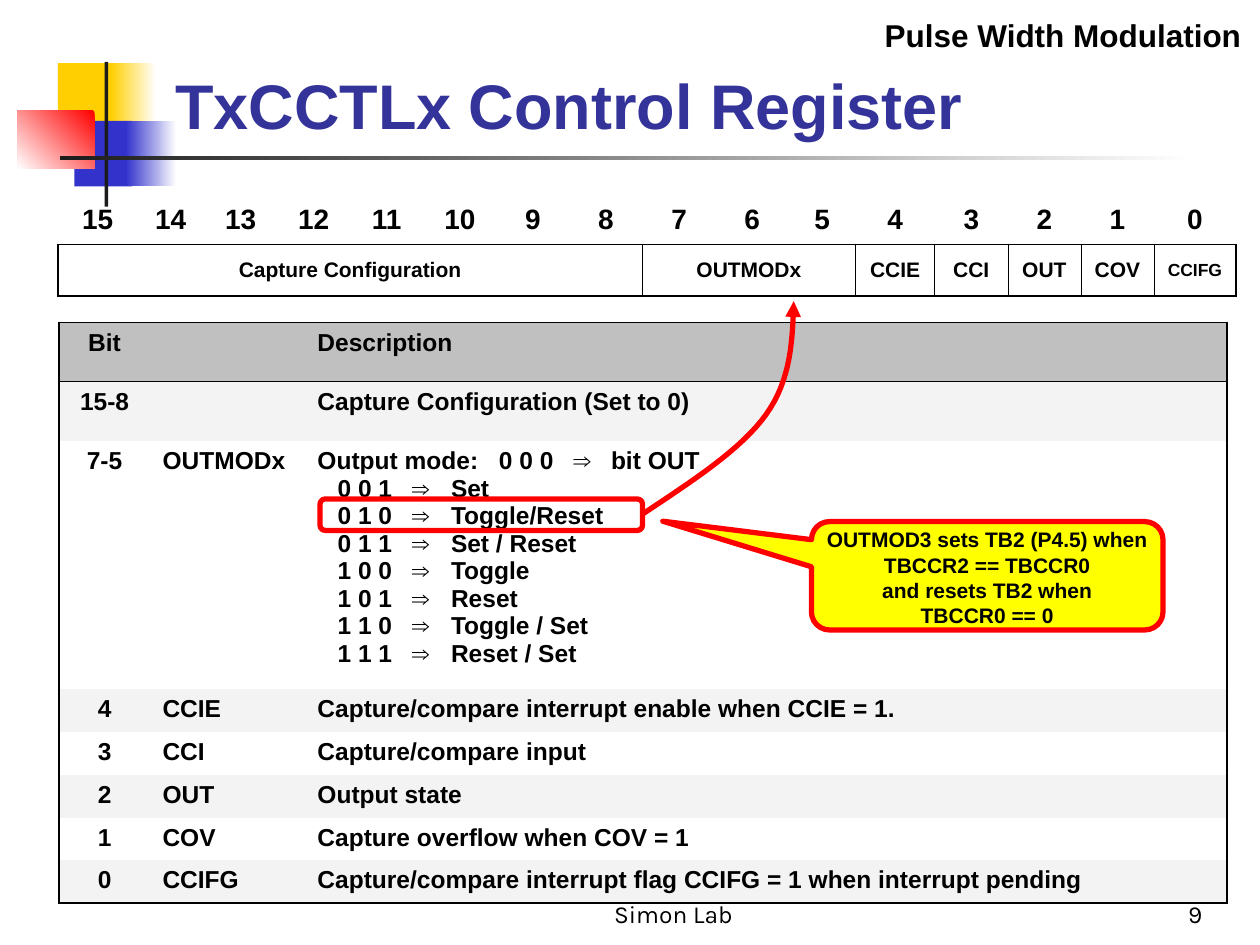
from lxml import etree
from pptx import Presentation
from pptx.dml.color import RGBColor
from pptx.enum.shapes import MSO_SHAPE
from pptx.enum.text import MSO_ANCHOR, MSO_AUTO_SIZE, PP_ALIGN
from pptx.oxml.ns import qn
from pptx.util import Inches, Pt

RECTANGLE = MSO_SHAPE.RECTANGLE
ROUNDED = MSO_SHAPE.ROUNDED_RECTANGLE
CALLOUT = MSO_SHAPE.ROUNDED_RECTANGULAR_CALLOUT
LEFT, CENTER, RIGHT = PP_ALIGN.LEFT, PP_ALIGN.CENTER, PP_ALIGN.RIGHT
TOP, MIDDLE, BOTTOM = MSO_ANCHOR.TOP, MSO_ANCHOR.MIDDLE, MSO_ANCHOR.BOTTOM

BLACK = RGBColor(0, 0, 0)
WHITE = RGBColor(0xFF, 0xFF, 0xFF)
CHARCOAL = RGBColor(0x1C, 0x1C, 0x1C)
GOLD = RGBColor(0xFF, 0xCF, 0x01)
YELLOW = RGBColor(0xFF, 0xFF, 0x00)
RED = RGBColor(0xFF, 0, 0)
BLUE = RGBColor(0x33, 0x33, 0xCC)
TITLE_BLUE = RGBColor(0x33, 0x33, 0x99)
HEADER_GRAY = RGBColor(0xC0, 0xC0, 0xC0)
BAND_GRAY = RGBColor(0xF3, 0xF3, 0xF3)

THICK, THIN = 1.08, 0.45

FIELDS = [("Capture Configuration", 8), ("OUTMODx", 3), ("CCIE", 1), ("CCI", 1),
          ("OUT", 1), ("COV", 1), ("CCIFG", 1)]
BIT_WIDTHS = [0.63, 0.53] + [0.58] * 8 + [0.53, 0.63] + [0.58] * 3 + [0.65]

OUTPUT_MODES = "\n".join([
    "Output mode:\t0 0 0\t⇒\tbit OUT",
    "\t0 0 1\t⇒\tSet",
    "\t0 1 0\t⇒\tToggle/Reset",
    "\t0 1 1\t⇒\tSet / Reset",
    "\t1 0 0\t⇒\tToggle",
    "\t1 0 1\t⇒\tReset",
    "\t1 1 0\t⇒\tToggle / Set",
    "\t1 1 1\t⇒\tReset / Set",
])
FIRST_MODE_TABS = [1.44, 2.03, 2.33]
MODE_TABS = [0.16, 0.75, 1.06]

DESCRIPTIONS = [
    ("Bit", "", "Description", 0.47),
    ("15-8", "", "Capture Configuration (Set to 0)", 0.47),
    ("7-5", "OUTMODx", OUTPUT_MODES, 1.97),
    ("4", "CCIE", "Capture/compare interrupt enable when CCIE = 1.", 0.34),
    ("3", "CCI", "Capture/compare input", 0.34),
    ("2", "OUT", "Output state", 0.34),
    ("1", "COV", "Capture overflow when COV = 1", 0.34),
    ("0", "CCIFG", "Capture/compare interrupt flag CCIFG = 1 when interrupt pending", 0.34),
]


def write_text(frame, text, size=14, font="Arial", color=BLACK, bold=True, align=LEFT):
    for index, line in enumerate(text.split("\n")):
        paragraph = frame.paragraphs[0] if index == 0 else frame.add_paragraph()
        paragraph.alignment = align
        run = paragraph.add_run()
        run.text = line
        run.font.size = Pt(size)
        run.font.name = font
        run.font.bold = bold
        run.font.color.rgb = color


def add_tabs(paragraph, positions):
    properties = paragraph._p.get_or_add_pPr()
    tab_list = etree.SubElement(properties, qn("a:tabLst"))
    for position in positions:
        etree.SubElement(tab_list, qn("a:tab"), pos=str(Inches(position)), algn="l")


def set_borders(cell, **widths):
    properties = cell._tc.get_or_add_tcPr()
    for index, side in enumerate("LRTB"):
        width = widths.get(side, 0)
        line = etree.Element(qn(f"a:ln{side}"), w=str(Pt(width)))
        if width:
            fill = etree.SubElement(line, qn("a:solidFill"))
            etree.SubElement(fill, qn("a:srgbClr"), val=str(BLACK))
        else:
            etree.SubElement(line, qn("a:noFill"))
        properties.insert(index, line)


def add_plain_table(slide, left, top, widths, heights):
    frame = slide.shapes.add_table(len(heights), len(widths), Inches(left), Inches(top),
                                   Inches(sum(widths)), Inches(sum(heights)))
    table = frame.table
    table.first_row = table.horz_banding = False
    for column, width in zip(table.columns, widths):
        column.width = Inches(width)
    for row, height in zip(table.rows, heights):
        row.height = Inches(height)
    return table


def add_box(shapes, kind, left, top, width, height, fill=None, line=None):
    shape = shapes.add_shape(kind, Inches(left), Inches(top), Inches(width), Inches(height))
    shape.shadow.inherit = False
    style_outline(shape, line)
    if fill is None:
        shape.fill.background()
    else:
        shape.fill.solid()
        shape.fill.fore_color.rgb = fill
    return shape


def style_outline(shape, color):
    if color is None:
        shape.line.fill.background()
    else:
        shape.line.color.rgb = color
        shape.line.width = Pt(3)


def add_text_box(slide, text, left, top, width, height, anchor, **text_format):
    box = slide.shapes.add_textbox(Inches(left), Inches(top), Inches(width), Inches(height))
    box.text_frame.word_wrap = True
    box.text_frame.vertical_anchor = anchor
    write_text(box.text_frame, text, **text_format)


def add_decoration(slide, left, top):
    def block(x, y, width, height, color, fade=None, angle=180):
        shape = add_box(slide.shapes, RECTANGLE, left + x, top + y, width, height, color)
        if fade is not None:
            shape.fill.gradient()
            shape.fill.gradient_angle = angle
            for stop, stop_color in zip(shape.fill.gradient_stops, (color, fade)):
                stop.color.rgb = stop_color

    block(0.32, 0.01, 0.48, 0.52, GOLD)
    block(0.74, 0.01, 0.36, 0.52, WHITE, GOLD)
    block(0.45, 0.47, 0.46, 0.52, BLUE)
    block(0.86, 0.47, 0.40, 0.52, WHITE, BLUE)
    block(0, 0.39, 0.61, 0.46, RED, WHITE, angle=225)
    block(0.69, 0, 0.03, 1.15, CHARCOAL)
    block(0.34, 0.75, 9, 0.03, WHITE, CHARCOAL)


def add_title(slide, text, left, top, width, height):
    title = slide.shapes.title
    title.left, title.top = Inches(left), Inches(top)
    title.width, title.height = Inches(width), Inches(height)
    frame = title.text_frame
    frame.word_wrap = True
    frame.auto_size = MSO_AUTO_SIZE.NONE
    frame.vertical_anchor = BOTTOM
    write_text(frame, text, size=36, color=TITLE_BLUE)


def add_description_table(slide, left, top):
    heights = [row[-1] for row in DESCRIPTIONS]
    table = add_plain_table(slide, left, top, [0.72, 1.23, 7.32], heights)
    last = len(heights) - 1
    for row, (*texts, _) in enumerate(DESCRIPTIONS):
        for column, text in enumerate(texts):
            cell = table.cell(row, column)
            cell.fill.solid()
            band = BAND_GRAY if row % 2 else WHITE
            if row in (0, 5, 7, 3):
                band = HEADER_GRAY if row == 0 else BAND_GRAY
            cell.fill.fore_color.rgb = band
            set_borders(cell,
                        L=THICK if column == 0 else 0,
                        R=THICK if column == 2 else 0,
                        T={0: THICK, 1: THIN}.get(row, 0),
                        B={0: THIN, last: THICK}.get(row, 0))
            if text:
                write_text(cell.text_frame, text, align=LEFT if column else CENTER)
            if text == OUTPUT_MODES:
                for index, paragraph in enumerate(cell.text_frame.paragraphs):
                    add_tabs(paragraph, MODE_TABS if index else FIRST_MODE_TABS)


def add_register_table(slide, left, top):
    table = add_plain_table(slide, left, top, BIT_WIDTHS, [0.39, 0.41])
    count = len(BIT_WIDTHS)
    for cell in table.iter_cells():
        cell.fill.background()
        cell.vertical_anchor = MIDDLE
    for column in range(count):
        number = table.cell(0, column)
        write_text(number.text_frame, str(count - 1 - column), size=16, align=CENTER)
        set_borders(number, B=THICK)
    start = 0
    for name, span in FIELDS:
        end = start + span
        field = table.cell(1, start)
        set_borders(field, L=THIN if start else THICK, R=THIN if end < count else THICK,
                    T=THICK, B=THICK)
        for column in range(start + 1, end):
            set_borders(table.cell(1, column), T=THICK, B=THICK)
        if span > 1:
            field.merge(table.cell(1, end - 1))
        write_text(field.text_frame, name, size=10 if name == "CCIFG" else 12, align=CENTER)
        start = end


def curve_points(start, first_control, second_control, end, steps=16):
    for step in range(1, steps + 1):
        t = step / steps
        weights = ((1 - t) ** 3, 3 * t * (1 - t) ** 2, 3 * t * t * (1 - t), t ** 3)
        corners = (start, first_control, second_control, end)
        yield tuple(Inches(sum(w * c[axis] for w, c in zip(weights, corners))) for axis in (0, 1))


def add_annotation(slide, left, top):
    shapes = slide.shapes.add_group_shape().shapes
    add_box(shapes, ROUNDED, left, top + 1.57, 2.56, 0.25, line=RED)

    callout = add_box(shapes, CALLOUT, left + 3.9, top + 1.75, 2.79, 0.86, YELLOW, RED)
    for index, value in enumerate((-0.923, -0.504, 0.167)):
        callout.adjustments[index] = value
    frame = callout.text_frame
    frame.word_wrap = True
    frame.vertical_anchor = TOP
    frame.margin_left = frame.margin_right = frame.margin_top = frame.margin_bottom = 0
    write_text(frame, "OUTMOD3 sets TB2 (P4.5) when TBCCR2 == TBCCR0\n"
               "and resets TB2 when\nTBCCR0 == 0", size=12, align=CENTER)

    offsets = [(2.56, 1.69), (2.95, 1.43), (3.34, 1.18), (3.54, 0.9),
               (3.74, 0.62), (3.75, 0.31), (3.76, 0)]
    knots = [(left + x, top + y) for x, y in offsets]
    builder = shapes.build_freeform(Inches(knots[0][0]), Inches(knots[0][1]))
    builder.add_line_segments([*curve_points(*knots[:4]), *curve_points(*knots[3:])], close=False)
    arrow = builder.convert_to_shape()
    arrow.shadow.inherit = False
    arrow.fill.background()
    style_outline(arrow, RED)
    etree.SubElement(arrow.element.spPr.find(qn("a:ln")), qn("a:tailEnd"), type="triangle")


def main():
    presentation = Presentation()
    presentation.slide_width, presentation.slide_height = Inches(10), Inches(7.5)
    slide = presentation.slides.add_slide(presentation.slide_layouts[5])
    add_decoration(slide, 0.14, 0.49)
    add_title(slide, "TxCCTLx Control Register", 1.29, 0.23, 8.52, 0.95)
    add_description_table(slide, 0.47, 2.56)
    add_register_table(slide, 0.46, 1.55)
    add_annotation(slide, 2.54, 2.39)
    add_text_box(slide, "Pulse Width Modulation", 5.93, 0.08, 4.02, 0.4, MIDDLE,
                 size=18, align=RIGHT)
    add_text_box(slide, "Simon Lab", 2.78, 6.92, 5.13, 0.5, BOTTOM,
                 font="Karla", bold=False, align=CENTER)
    add_text_box(slide, "9", 7.56, 6.92, 2.08, 0.5, BOTTOM,
                 font="Karla", bold=False, align=RIGHT)
    presentation.save("out.pptx")


if __name__ == "__main__":
    main()
